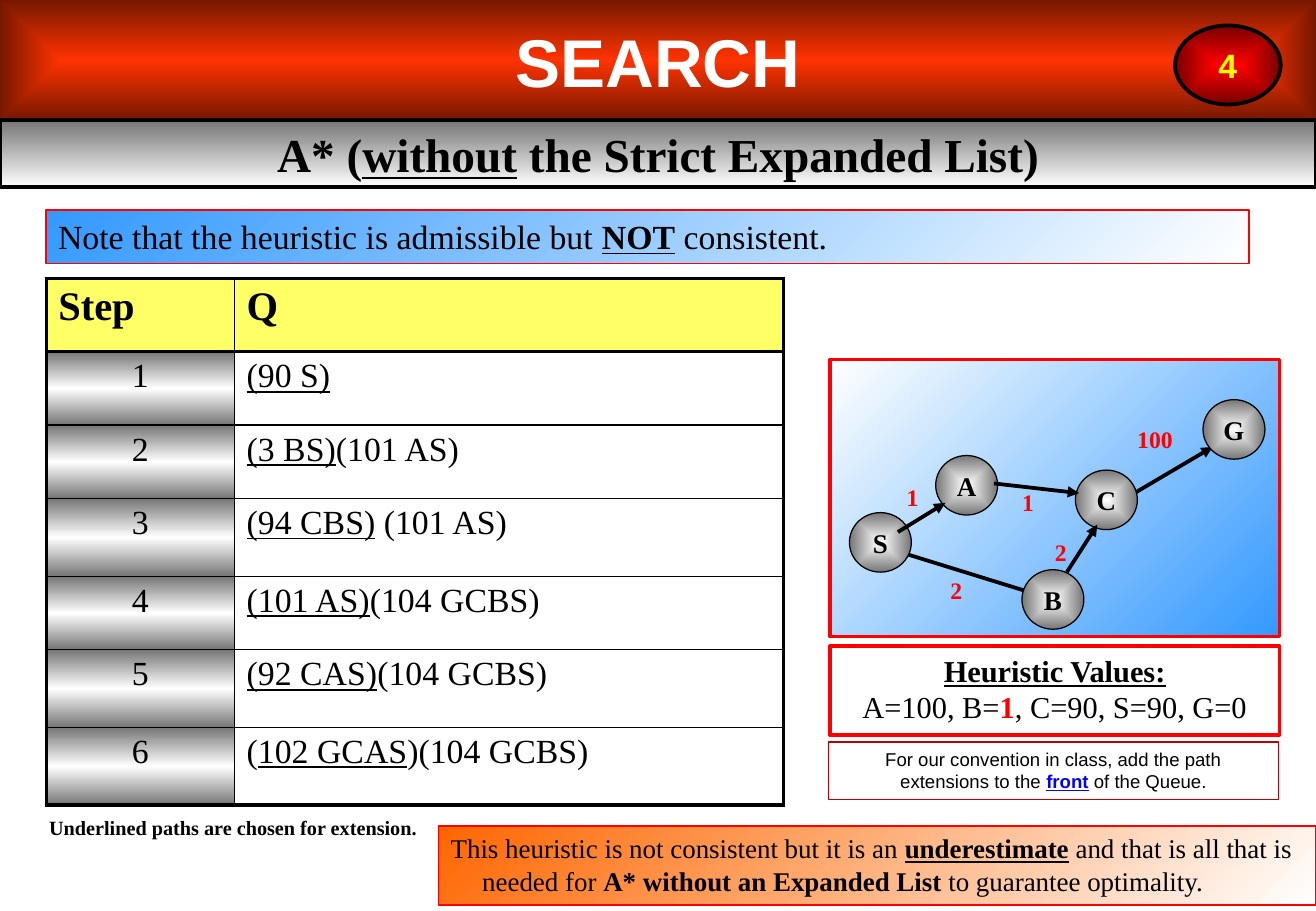
from lxml import etree
from pptx import Presentation
from pptx.dml.color import RGBColor
from pptx.enum.shapes import MSO_CONNECTOR, MSO_SHAPE
from pptx.enum.text import MSO_ANCHOR, MSO_AUTO_SIZE, PP_ALIGN
from pptx.oxml.ns import qn
from pptx.util import Inches, Pt

RECTANGLE, OVAL = MSO_SHAPE.RECTANGLE, MSO_SHAPE.OVAL
STRAIGHT = MSO_CONNECTOR.STRAIGHT
LEFT, CENTER = PP_ALIGN.LEFT, PP_ALIGN.CENTER
TOP, MIDDLE = MSO_ANCHOR.TOP, MSO_ANCHOR.MIDDLE
NO_FIT = MSO_AUTO_SIZE.NONE

CELL = Inches(0.1)
COLUMNS, ROWS = 108.3, 75
SERIF, SANS = "Times New Roman", "Arial"
BLACK, WHITE, RED, GREY, BLUE = "000000", "FFFFFF", "FF0000", "767676", "3399FF"
THIN, HAIR, THICK = 0.75, 1, 2.25
STRONG = {"bold": True, "underline": True}
UNDERLINED = {"underline": True}

STEPS = [
    [("(90 S)", UNDERLINED)],
    [("(3 BS)", UNDERLINED), "(101 AS)"],
    [("(94 CBS)", UNDERLINED), " (101 AS)"],
    [("(101 AS)", UNDERLINED), "(104 GCBS)"],
    [("(92 CAS)", UNDERLINED), "(104 GCBS)"],
    ["(", ("102 GCAS", UNDERLINED), ")(104 GCBS)"],
]
ROW_HEIGHTS = [6.05, 6.05, 6.05, 6.4, 6.05, 6.4, 6.4]
COLUMN_WIDTHS = [15.5, 45.2]
NODES = {"A": (77, 37.5), "C": (88.5, 38.7), "G": (99, 32.9), "S": (69.9, 42.2), "B": (84.1, 46.9)}
EDGES_UNDER = [((92, 41.4), (99.8, 36.8)), ((73.9, 45.4), (86.5, 49.3))]
EDGES_OVER = [((87.8, 47.1), (90.3, 43.2)), ((81.8, 39.8), (88.8, 40.6)), ((73.9, 43.8), (77.8, 41.4))]
COSTS = [("1", 73.6, 39.3, 3), ("1", 83.1, 39.7, 3), ("2", 77.2, 46.9, 3),
         ("100", 92.6, 34.5, 4.9), ("2", 85.8, 43.8, 3)]


def grid(*cells):
    """Turn grid columns and rows into lengths."""
    return [round(cell * CELL) for cell in cells]


def color(code):
    """Turn a hex string into a colour."""
    return RGBColor.from_string(code)


def add_child(parent, tag, **attributes):
    """Append an element with the given attributes."""
    return etree.SubElement(parent, qn(tag), attributes)


def shade(target, element, colors, angle=None):
    """Fill with evenly spaced colours, linear by angle or outward from the centre."""
    target.fill.gradient()
    gradient = next(element.iter(qn("a:gradFill")))
    for child in list(gradient):
        gradient.remove(child)
    stops = add_child(gradient, "a:gsLst")
    for index, code in enumerate(colors):
        stop = add_child(stops, "a:gs", pos=str(100000 * index // (len(colors) - 1)))
        add_child(stop, "a:srgbClr", val=code)
    if angle is None:
        center = add_child(gradient, "a:path", path="shape")
        add_child(center, "a:fillToRect", l="50000", t="50000", r="50000", b="50000")
    else:
        add_child(gradient, "a:lin", ang=str(angle * 60000), scaled="1")


def set_font(font, **style):
    """Set the given font properties."""
    for name, value in style.items():
        if name == "color":
            font.color.rgb = color(value)
        else:
            setattr(font, name, value)


def write(frame, paragraphs, size, name=SERIF, ink=BLACK, bold=False,
          align=CENTER, anchor=MIDDLE, wrap=True):
    """Write paragraphs made of plain or styled spans."""
    frame.auto_size, frame.word_wrap, frame.vertical_anchor = NO_FIT, wrap, anchor
    for index, spans in enumerate(paragraphs):
        para = frame.add_paragraph() if index else frame.paragraphs[0]
        para.alignment = align
        set_font(para.font, size=Pt(size), name=name, bold=bold, color=ink)
        for item in spans:
            text, style = (item, {}) if isinstance(item, str) else item
            span = para.add_run()
            span.text = text
            set_font(span.font, **style)


def add_box(page, place, colors=(), angle=None, edge=BLACK, weight=THIN, kind=RECTANGLE):
    """Add an outlined shape with no, one or several fill colours."""
    box = page.shapes.add_shape(kind, *grid(*place))
    box.shadow.inherit = False
    box.line.color.rgb = color(edge)
    box.line.width = Pt(weight)
    if len(colors) > 1:
        shade(box, box._element, colors, angle)
    elif colors:
        box.fill.solid()
        box.fill.fore_color.rgb = color(colors[0])
    else:
        box.fill.background()
    return box


def add_label(page, place, text, size, ink=BLACK):
    """Add a bold one-line label."""
    box = page.shapes.add_textbox(*grid(*place))
    write(box.text_frame, [[text]], size, ink=ink, bold=True, anchor=TOP, wrap=False)


def add_edge(page, start, end):
    """Add an arrow between two grid points."""
    edge = page.shapes.add_connector(STRAIGHT, *grid(*start, *end))
    edge.line.color.rgb = color(BLACK)
    edge.line.width = Pt(THICK)
    add_child(edge.line._get_or_add_ln(), "a:tailEnd", type="triangle")
    add_child(edge._element.spPr, "a:effectLst")


def set_borders(cell, weights):
    """Draw the left, right, top and bottom borders of a cell."""
    properties = cell._tc.get_or_add_tcPr()
    for index, (side, weight) in enumerate(zip("LRTB", weights)):
        border = etree.Element(qn(f"a:ln{side}"), w=str(Pt(weight)))
        add_child(add_child(border, "a:solidFill"), "a:srgbClr", val=BLACK)
        properties.insert(index, border)


def add_header(page):
    """Add the title bar, the page number and the subtitle bar."""
    title = page.shapes.title
    title.left, title.top, title.width, title.height = grid(0, 0, COLUMNS, 9.9)
    shade(title, title._element, ["FF3300", "761800"])
    write(title.text_frame, [["SEARCH"]], 40, SANS, WHITE, bold=True)
    bar = add_box(page, (0, 9.9, COLUMNS, 5.5), [GREY, WHITE], 90, weight=THICK)
    write(bar.text_frame, [["A* (", ("without", UNDERLINED), " the Strict Expanded List)"]],
          28, bold=True)
    badge = add_box(page, (96.7, 2.1, 8.7, 6.5), [RED, "760000"], weight=THICK, kind=OVAL)
    write(badge.text_frame, [["4"]], 20, SANS, "FFFF00", bold=True, wrap=False)


def add_graph(page):
    """Add the search graph with its nodes, arrows and costs."""
    add_box(page, (68.3, 29.6, 37, 22.8), [WHITE, BLUE], 45, RED, THICK)
    for start, end in EDGES_UNDER:
        add_edge(page, start, end)
    for name, (left, top) in NODES.items():
        node = add_box(page, (left, top, 5.1, 4.9), [WHITE, GREY], kind=OVAL)
        write(node.text_frame, [[name]], 16, bold=True, wrap=False)
    for start, end in EDGES_OVER:
        add_edge(page, start, end)
    for text, left, top, width in COSTS:
        add_label(page, (left, top, width, 3.3), text, 14, RED)


def add_steps(page):
    """Add the table of queue states."""
    rows = [["Step"], ["Q"]], *([[str(step)], spans] for step, spans in enumerate(STEPS, 1))
    last = len(rows) - 1
    place = grid(3.8, 22.9, sum(COLUMN_WIDTHS), sum(ROW_HEIGHTS))
    table = page.shapes.add_table(len(rows), 2, *place).table
    table.first_row = table.horz_banding = False
    for column, width in zip(table.columns, grid(*COLUMN_WIDTHS)):
        column.width = width
    for row, height in zip(table.rows, grid(*ROW_HEIGHTS)):
        row.height = height
    for r, contents in enumerate(rows):
        for c, spans in enumerate(contents):
            cell = table.cell(r, c)
            is_head, is_step = r == 0, r > 0 and c == 0
            if is_step:
                shade(cell, cell._tc, [GREY, WHITE, GREY], 90)
            else:
                cell.fill.solid()
                cell.fill.fore_color.rgb = color("FFFF66" if is_head else WHITE)
            heavy = (c == 0, c == 1, r < 2, r in (0, last))
            set_borders(cell, [THICK if side else HAIR for side in heavy])
            write(cell.text_frame, [spans], 24 if is_head else 20, bold=is_head,
                  align=CENTER if is_step else LEFT, anchor=TOP)


def add_notes(page):
    """Add the remarks around the table and the graph."""
    note = add_box(page, (3.8, 17.3, 99, 4.4), [BLUE, WHITE], 45, RED)
    write(note.text_frame, [["Note that the heuristic is admissible but ", ("NOT", STRONG),
                             " consistent."]], 20, align=LEFT, anchor=TOP)
    values = add_box(page, (68.3, 53.2, 37, 7.3), edge=RED, weight=THICK)
    write(values.text_frame, [[("Heuristic Values:", STRONG)],
                              ["A=100, B=", ("1", {"color": RED, "bold": True}),
                               ", C=90, S=90, G=0"]], 18, anchor=TOP)
    add_label(page, (3, 66.6, 32.4, 3), "Underlined paths are chosen for extension.", 12)
    remark = add_box(page, (36.1, 68, 72.2, 6.5), ["FF6600", WHITE], 45, RED)
    write(remark.text_frame, [["This heuristic is not consistent but it is an ",
                               ("underestimate", STRONG), " and that is all that is needed for ",
                               ("A* without an Expanded List", {"bold": True}),
                               " to guarantee optimality."]], 16, align=LEFT, anchor=TOP)
    indent = remark.text_frame.paragraphs[0]._p.get_or_add_pPr()
    indent.set("marL", str(Inches(0.26)))
    indent.set("indent", str(-Inches(0.26)))
    convention = add_box(page, (68.2, 61.1, 37, 4.7), [WHITE], edge="C00000")
    write(convention.text_frame, [["For our convention in class, add the path extensions to the ",
                                   ("front", {**STRONG, "color": "0000FF"}),
                                   " of the Queue."]], 11, SANS, anchor=TOP)


def main():
    """Build the slide and save it."""
    deck = Presentation()
    deck.slide_width, deck.slide_height = grid(COLUMNS, ROWS)
    page = deck.slides.add_slide(deck.slide_layouts[5])
    add_header(page)
    add_graph(page)
    add_steps(page)
    add_notes(page)
    deck.save("out.pptx")


if __name__ == "__main__":
    main()
